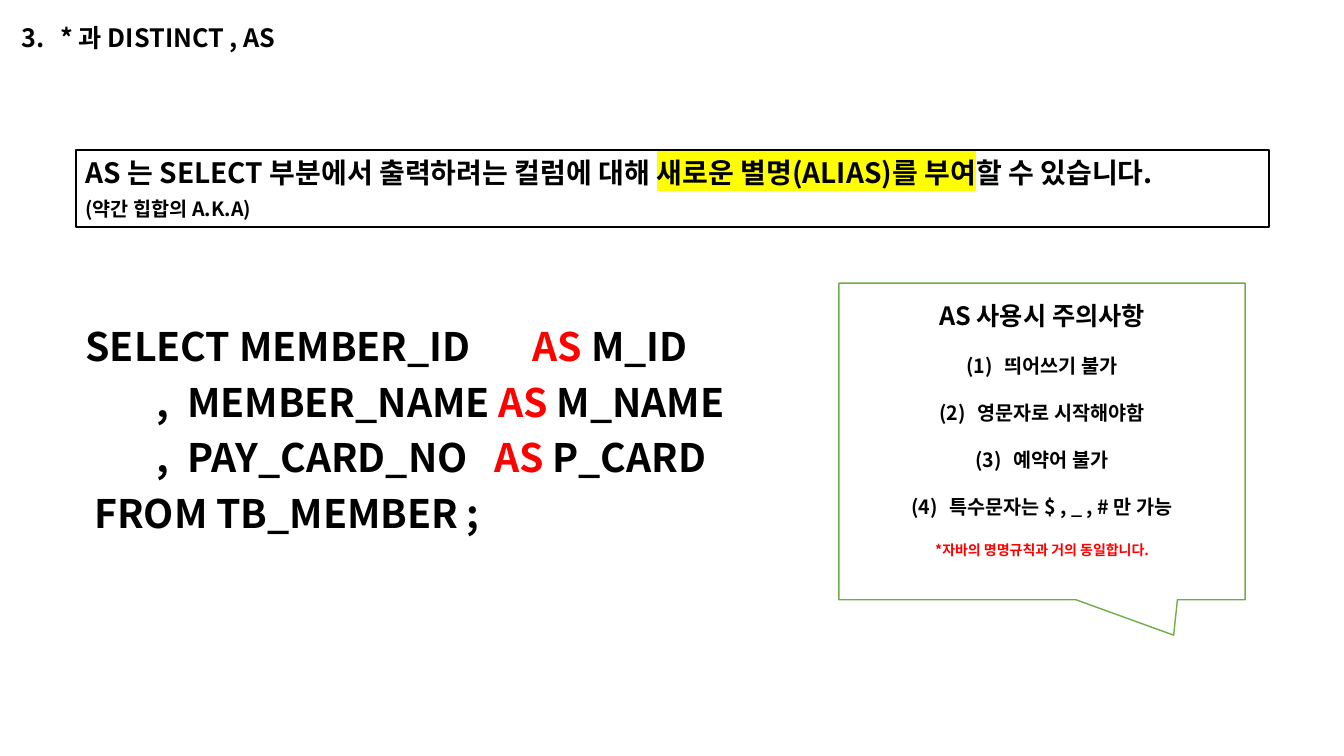
from pptx import Presentation
from pptx.dml.color import RGBColor
from pptx.enum.shapes import MSO_SHAPE as SHAPE
from pptx.enum.text import MSO_ANCHOR as ANCHOR, PP_ALIGN as ALIGN
from pptx.oxml.ns import qn
from pptx.util import Inches, Pt
from lxml import etree

FONT = "Noto Sans CJK KR"
BLACK, RED, GREEN, YELLOW, WHITE = "000000", "FF0000", "70AD47", "FFFF00", "FFFFFF"


def rgb(value):
    return RGBColor.from_string(value)


def place(sp, left, top, width, height):
    sp.left, sp.top = Inches(left), Inches(top)
    sp.width, sp.height = Inches(width), Inches(height)


def add_run(p, text, size, color=BLACK, highlight=None):
    r = p.add_run()
    r.text = text
    r.font.size, r.font.bold, r.font.name = Pt(size), True, FONT
    r.font.color.rgb = rgb(color)
    rPr = r._r.get_or_add_rPr()
    latin = rPr.find(qn("a:latin"))
    if highlight:
        mark = etree.Element(qn("a:highlight"))
        etree.SubElement(mark, qn("a:srgbClr"), val=highlight)
        latin.addprevious(mark)
    east = etree.Element(qn("a:ea"), typeface=FONT)
    latin.addnext(east)


def add_paragraph(tf, runs, align=ALIGN.LEFT, before=0, after=0):
    """Fill the first empty paragraph, or append a new one."""
    first = len(tf.paragraphs) == 1 and not tf.paragraphs[0].runs
    p = tf.paragraphs[0] if first else tf.add_paragraph()
    p.alignment = align
    p.line_spacing = 1.0
    p.space_before, p.space_after = Pt(0 if first else before), Pt(after)
    for run in runs:
        add_run(p, *run)
    return p


def number_paragraph(p):
    pPr = p._p.get_or_add_pPr()
    pPr.set("marL", str(Inches(0.38)))
    pPr.set("indent", str(Inches(-0.38)))
    etree.SubElement(pPr, qn("a:buFont"), typeface="+mj-lt")
    etree.SubElement(pPr, qn("a:buAutoNum"), type="arabicParenBoth")


def add_tab(p, position):
    tabs = etree.SubElement(p._p.get_or_add_pPr(), qn("a:tabLst"))
    etree.SubElement(tabs, qn("a:tab"), pos=str(Inches(position)), algn="l")


def add_box(s, kind, box, line, width, fill=None):
    sp = s.shapes.add_shape(kind, 0, 0, 0, 0)
    place(sp, *box)
    sp.shadow.inherit = False
    if fill:
        sp.fill.solid()
        sp.fill.fore_color.rgb = rgb(fill)
    else:
        sp.fill.background()
    sp.line.color.rgb = rgb(line)
    sp.line.width = Pt(width)
    sp.text_frame.word_wrap = True
    return sp


def add_title(s):
    sp = s.shapes.title
    place(sp, 0.11, 0.17, 3.07, 0.4)
    tf = sp.text_frame
    tf.word_wrap = False
    tf.vertical_anchor = ANCHOR.TOP
    p = add_paragraph(tf, [("3.\t* 과 DISTINCT , AS", 18)])
    add_tab(p, 0.39)


def add_query(s):
    sp = s.shapes.add_textbox(0, 0, 0, 0)
    place(sp, 0.75, 3.15, 7.57, 2.24)
    tf = sp.text_frame
    tf.word_wrap = True
    columns = [
        ("SELECT MEMBER_ID       ", " M_ID"),
        ("        ,  MEMBER_NAME ", " M_NAME"),
        ("        ,  PAY_CARD_NO   ", " P_CARD"),
    ]
    for column, alias in columns:
        add_paragraph(tf, [(column, 28), ("AS", 28, RED), (alias, 28)], after=6)
    add_paragraph(tf, [(" FROM TB_MEMBER ;", 28)], after=6)


def add_definition(s):
    sp = add_box(s, SHAPE.RECTANGLE, (0.75, 1.49, 11.84, 0.76), BLACK, 1.5)
    tf = sp.text_frame
    tf.vertical_anchor = ANCHOR.TOP
    add_paragraph(tf, [
        ("AS 는 SELECT 부분에서 출력하려는 컬럼에 대해 ", 20),
        ("새로운 별명(ALIAS)를 부여", 20, BLACK, YELLOW),
        ("할 수 있습니다.", 20),
    ], after=6)
    add_paragraph(tf, [("(약간 힙합의 A.K.A)", 14)], after=6)


def add_cautions(s):
    sp = add_box(s, SHAPE.RECTANGULAR_CALLOUT, (8.32, 2.81, 4.03, 3.14), GREEN, 1, WHITE)
    sp.adjustments[0], sp.adjustments[1] = 0.324, 0.612
    tf = sp.text_frame
    tf.vertical_anchor = ANCHOR.MIDDLE
    tf.margin_bottom = Inches(0.29)
    gap = 16.8
    add_paragraph(tf, [("AS 사용시 주의사항", 18)], ALIGN.CENTER)
    rules = ["띄어쓰기 불가", "영문자로 시작해야함", "예약어 불가", "특수문자는 $ , _ , # 만 가능"]
    for rule in rules:
        number_paragraph(add_paragraph(tf, [(rule, 14)], ALIGN.CENTER, gap))
    add_paragraph(tf, [("*자바의 명명규칙과 거의 동일합니다.", 10, RED)], ALIGN.CENTER, gap)


def main():
    prs = Presentation()
    prs.slide_width, prs.slide_height = Inches(13.33), Inches(7.5)
    s = prs.slides.add_slide(prs.slide_layouts[5])
    add_title(s)
    add_definition(s)
    add_query(s)
    add_cautions(s)
    prs.save("out.pptx")


if __name__ == "__main__":
    main()
